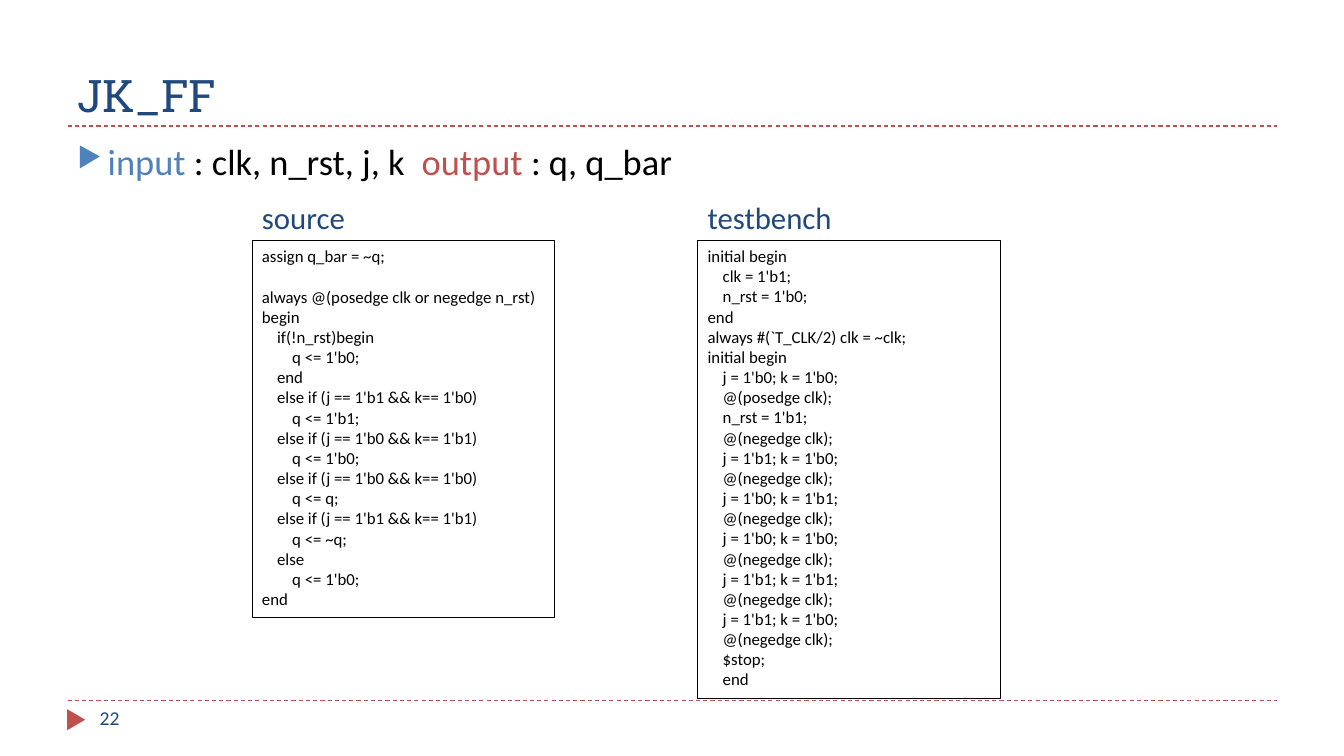
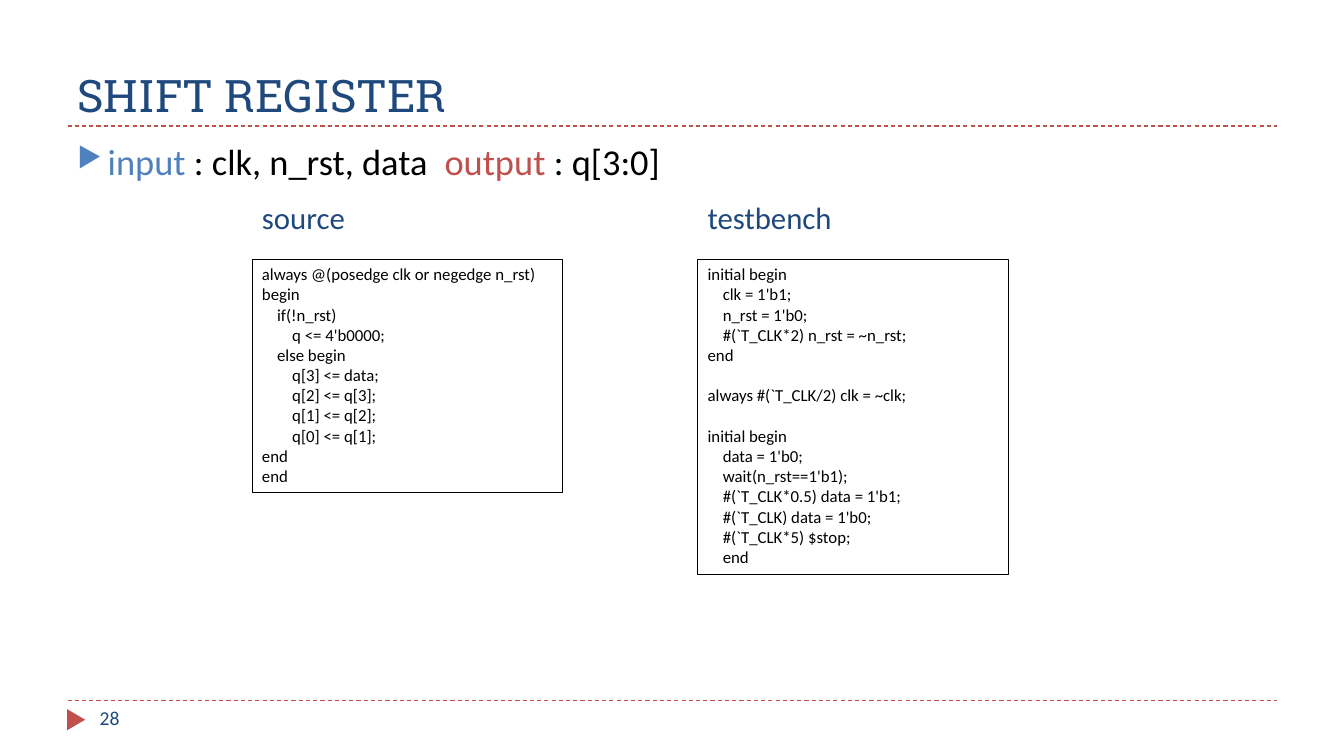
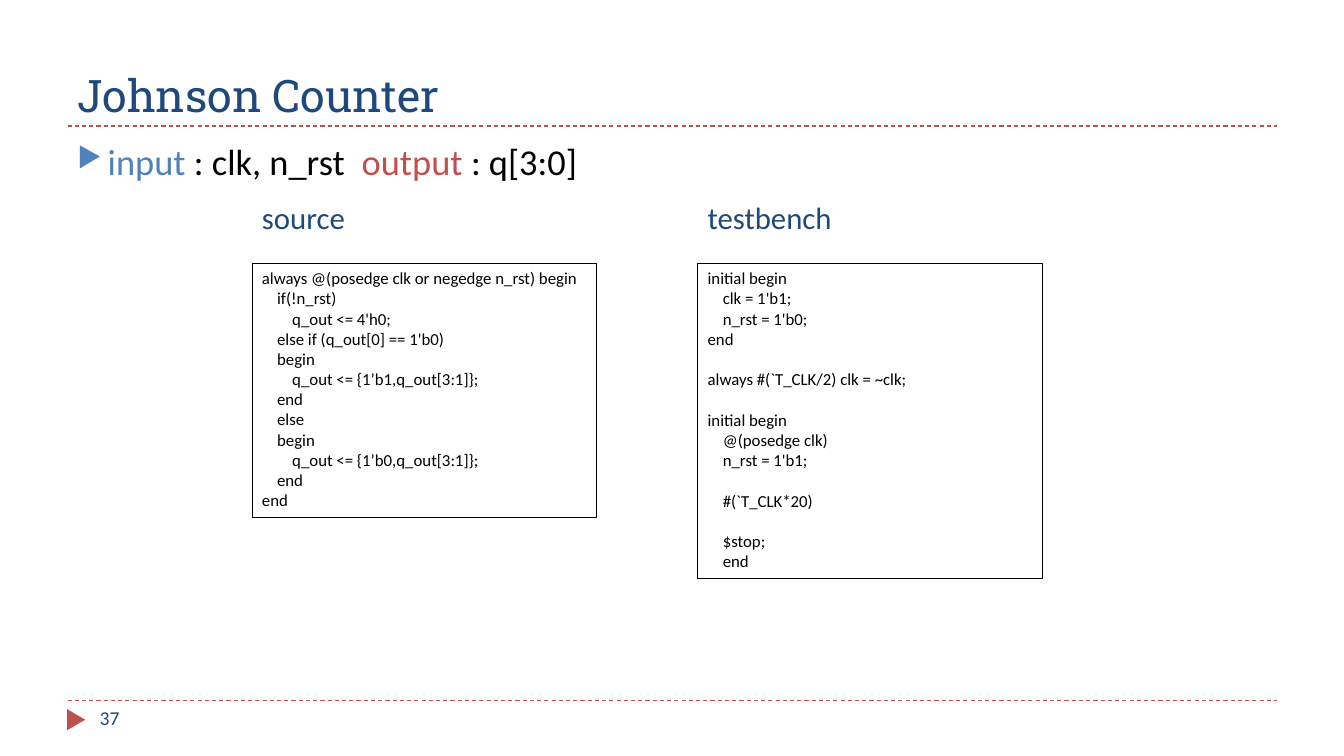
from lxml import etree
from pptx import Presentation
from pptx import util as u
from pptx.dml.color import RGBColor
from pptx.enum import dml, shapes, text
from pptx.oxml.ns import qn

PX = 9144  # EMU per px, 100 px to the inch


def px(*lengths):
    return [u.Emu(n * PX) for n in lengths]


def rgb(value):
    return RGBColor.from_string(value)


class Deck:
    NAVY, BLUE, RED, BLACK = "1F497D", "4F81BD", "C0504D", "000000"
    BODY, HEAD = "Calibri", "Roboto Slab"
    CODE_SIZE, CODE_PITCH = 12, 20.2  # pt, px
    LEFT, WIDTH = 67, 1200
    COLUMNS = {"source": 250, "testbench": 692}

    def __init__(self):
        self.prs = Presentation()
        self.prs.slide_width, self.prs.slide_height = px(1333, 750)
        self.s = None

    def add_slide(self, title, number):
        """Start a slide with its title, rules and page number."""
        self.s = self.prs.slides.add_slide(self.prs.slide_layouts[6])
        self.rule(695)
        self.rule(125)
        self.marker(65, 705, 21, 18)
        self.label(title, self.LEFT, 17, self.WIDTH, 108, 32, self.HEAD,
                   text.MSO_ANCHOR.BOTTOM)
        self.label(str(number), 89, 695, 289, 40, 14)

    def rule(self, y):
        x1, x2, y = px(self.LEFT, self.LEFT + self.WIDTH, y)
        line = self.s.shapes.add_connector(shapes.MSO_CONNECTOR.STRAIGHT, x1, y, x2, y)
        line.line.color.rgb = rgb(self.RED)
        line.line.width = u.Pt(0.75)
        line.line.dash_style = dml.MSO_LINE.DASH
        etree.SubElement(line._element.spPr, qn("a:effectLst"))

    def marker(self, x, y, w, h):
        sp = self.s.shapes.add_shape(shapes.MSO_SHAPE.ISOSCELES_TRIANGLE, *px(x, y, w, h))
        sp.rotation = 90
        sp.shadow.inherit = False
        sp.fill.solid()
        sp.fill.fore_color.rgb = rgb(self.RED)
        sp.line.fill.background()

    def run(self, p, words, size, color, font=BODY):
        r = p.add_run()
        r.text = words
        r.font.size = u.Pt(size)
        r.font.name = font
        r.font.color.rgb = rgb(color)

    def text_box(self, x, y, w, h, anchor=text.MSO_ANCHOR.TOP):
        tf = self.s.shapes.add_textbox(*px(x, y, w, h)).text_frame
        tf.word_wrap = True
        tf.vertical_anchor = anchor
        return tf.paragraphs[0]

    def label(self, words, x, y, w, h, size, font=BODY, anchor=text.MSO_ANCHOR.TOP):
        self.run(self.text_box(x, y, w, h, anchor), words, size, self.NAVY, font)

    def ports(self, inputs, outputs):
        """Write the bulleted line that lists the module's signals."""
        p = self.text_box(self.LEFT, 133, self.WIDTH, 540)
        indent, = px(30)
        pPr = p._p.get_or_add_pPr()
        pPr.set("marL", str(indent))
        pPr.set("indent", str(-indent))
        color = etree.SubElement(pPr, qn("a:buClr"))
        etree.SubElement(color, qn("a:srgbClr"), val=self.BLUE)
        etree.SubElement(pPr, qn("a:buSzPct"), val="76000")
        etree.SubElement(pPr, qn("a:buChar"), char="▶")
        for words, color in (("input", self.BLUE), (f" : {inputs}  ", self.BLACK),
                             ("output", self.RED), (f" : {outputs}", self.BLACK)):
            self.run(p, words, 26, color)

    def code(self, code, x, y, w):
        """Frame a listing; an empty line becomes space before the next one."""
        lines = code.strip("\n").split("\n")
        h = 10 + round(len(lines) * self.CODE_PITCH)
        sp = self.s.shapes.add_shape(shapes.MSO_SHAPE.RECTANGLE, *px(x, y, w, h))
        sp.shadow.inherit = False
        sp.fill.background()
        sp.line.color.rgb = rgb(self.BLACK)
        sp.line.width = u.Pt(0.75)
        tf = sp.text_frame
        tf.word_wrap = True
        tf.vertical_anchor = text.MSO_ANCHOR.TOP
        for i, line in enumerate(lines):
            if not line:
                continue
            p = tf.add_paragraph() if i else tf.paragraphs[0]
            p.alignment = text.PP_ALIGN.LEFT
            if i and not lines[i - 1]:
                p.space_before = u.Pt(14.5)
            self.run(p, line, self.CODE_SIZE, self.BLACK)

    def listings(self, y, w, **codes):
        for name, code in codes.items():
            x = self.COLUMNS[name]
            self.label(name, x, 192, 225, 47, 22)
            self.code(code, x, y, w)


JK_SOURCE = """
assign q_bar = ~q;

always @(posedge clk or negedge n_rst)
begin
    if(!n_rst)begin
        q <= 1'b0;
    end
    else if (j == 1'b1 && k== 1'b0)
        q <= 1'b1;
    else if (j == 1'b0 && k== 1'b1)
        q <= 1'b0;
    else if (j == 1'b0 && k== 1'b0)
        q <= q;
    else if (j == 1'b1 && k== 1'b1)
        q <= ~q;
    else
        q <= 1'b0;
end
"""

JK_TESTBENCH = """
initial begin
    clk = 1'b1;
    n_rst = 1'b0;
end
always #(`T_CLK/2) clk = ~clk;
initial begin
    j = 1'b0; k = 1'b0;
    @(posedge clk);
    n_rst = 1'b1;
    @(negedge clk);
    j = 1'b1; k = 1'b0;
    @(negedge clk);
    j = 1'b0; k = 1'b1;
    @(negedge clk);
    j = 1'b0; k = 1'b0;
    @(negedge clk);
    j = 1'b1; k = 1'b1;
    @(negedge clk);
    j = 1'b1; k = 1'b0;
    @(negedge clk);
    $stop;
    end
"""

SHIFT_SOURCE = """
always @(posedge clk or negedge n_rst)
begin
    if(!n_rst)
        q <= 4'b0000;
    else begin
        q[3] <= data;
        q[2] <= q[3];
        q[1] <= q[2];
        q[0] <= q[1];
end
end
"""

SHIFT_TESTBENCH = """
initial begin
    clk = 1'b1;
    n_rst = 1'b0;
    #(`T_CLK*2) n_rst = ~n_rst;
end

always #(`T_CLK/2) clk = ~clk;

initial begin
    data = 1'b0;
    wait(n_rst==1'b1);
    #(`T_CLK*0.5) data = 1'b1;
    #(`T_CLK) data = 1'b0;
    #(`T_CLK*5) $stop;
    end
"""

JOHNSON_SOURCE = """
always @(posedge clk or negedge n_rst) begin
    if(!n_rst)
        q_out <= 4'h0;
    else if (q_out[0] == 1'b0)
    begin
        q_out <= {1’b1,q_out[3:1]};
    end
    else
    begin
        q_out <= {1’b0,q_out[3:1]};
    end
end
"""

JOHNSON_TESTBENCH = """
initial begin
    clk = 1'b1;
    n_rst = 1'b0;
end

always #(`T_CLK/2) clk = ~clk;

initial begin
    @(posedge clk)
    n_rst = 1'b1;

    #(`T_CLK*20)

    $stop;
    end
"""


def main():
    deck = Deck()

    deck.add_slide("JK_FF", 22)
    deck.ports("clk, n_rst, j, k", "q, q_bar")
    deck.listings(239, 300, source=JK_SOURCE, testbench=JK_TESTBENCH)

    deck.add_slide("SHIFT REGISTER", 28)
    deck.ports("clk, n_rst, data", "q[3:0]")
    deck.listings(257, 308, source=SHIFT_SOURCE, testbench=SHIFT_TESTBENCH)

    deck.add_slide("Johnson Counter", 37)
    deck.ports("clk, n_rst", "q[3:0]")
    deck.listings(261, 342, source=JOHNSON_SOURCE, testbench=JOHNSON_TESTBENCH)

    deck.prs.save("out.pptx")


if __name__ == "__main__":
    main()
